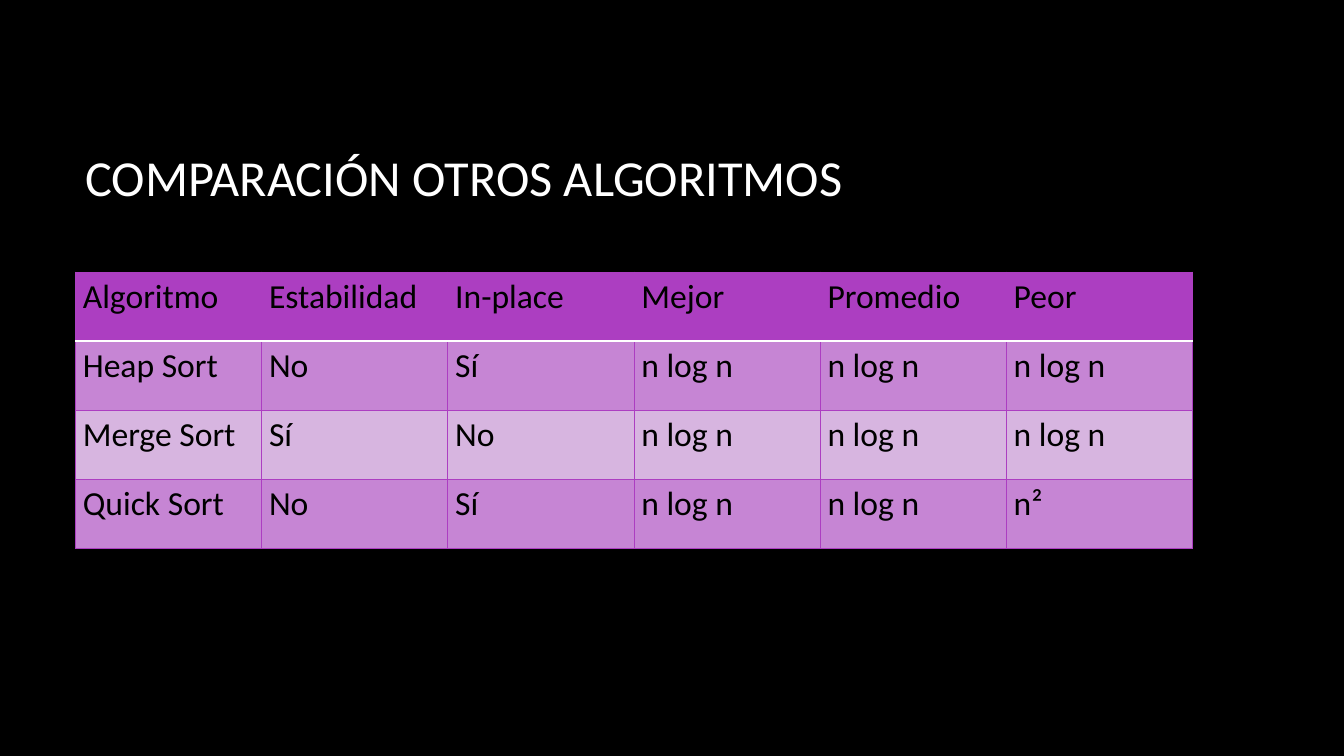
from dataclasses import dataclass

from lxml import etree
from pptx import Presentation
from pptx import util as u
from pptx.dml import color
from pptx.enum import text
from pptx.oxml import ns

HUES = {
    "back": "000000",
    "title": "FFFFFF",
    "ink": "000000",
    "rule": "FFFFFF",
    "head": "AC3EC1",
    "dark": "C685D4",
    "light": "D7B5E0",
}
LEFT, WIDE = 54, 798
ROW = 49.3


@dataclass
class Line:
    cells: tuple[str, ...]
    fill: str
    top: str = "head"
    base: str = "head"


LINES = [
    Line(("Algoritmo", "Estabilidad", "In-place", "Mejor", "Promedio", "Peor"),
         "head", base="rule"),
    Line(("Heap Sort", "No", "Sí", "n log n", "n log n", "n log n"),
         "dark", top="rule"),
    Line(("Merge Sort", "Sí", "No", "n log n", "n log n", "n log n"), "light"),
    Line(("Quick Sort", "No", "Sí", "n log n", "n log n", "n²"), "dark"),
]


def rgb(name: str) -> color.RGBColor:
    return color.RGBColor.from_string(HUES[name])


def write(frame, words: str, *, size: float, hue: str) -> None:
    run = frame.paragraphs[0].add_run()
    run.text = words
    run.font.name = "Calibri"
    run.font.size = u.Pt(size)
    run.font.bold = False
    run.font.color.rgb = rgb(hue)


def edge(cell, line: Line) -> None:
    props = cell._tc.get_or_add_tcPr()
    sides = {"lnL": "head", "lnR": "head", "lnT": line.top, "lnB": line.base}
    for spot, (side, hue) in enumerate(sides.items()):
        width = u.Pt(1.5 if hue == "rule" else 0.75)
        border = etree.Element(ns.qn(f"a:{side}"), w=str(width))
        fill = etree.SubElement(border, ns.qn("a:solidFill"))
        etree.SubElement(fill, ns.qn("a:srgbClr"), val=HUES[hue])
        props.insert(spot, border)


def add_title(slide) -> None:
    box = slide.shapes.add_textbox(u.Pt(LEFT), u.Pt(69), u.Pt(WIDE), u.Pt(114.5))
    frame = box.text_frame
    frame.word_wrap = True
    frame.vertical_anchor = text.MSO_ANCHOR.MIDDLE
    write(frame, "COMPARACIÓN OTROS ALGORITMOS", size=36, hue="title")


def add_grid(slide, lines: list[Line]) -> None:
    count = len(lines[0].cells)
    grid = slide.shapes.add_table(
        len(lines), count, u.Pt(LEFT), u.Pt(194.3),
        u.Pt(WIDE), u.Pt(ROW * len(lines))).table
    for col in grid.columns:
        col.width = u.Pt(WIDE / count)
    for row, line in zip(grid.rows, lines):
        row.height = u.Pt(ROW)
        for cell, words in zip(row.cells, line.cells):
            cell.margin_left = cell.margin_right = u.Pt(5.2)
            cell.margin_top = cell.margin_bottom = u.Pt(3.6)
            cell.fill.solid()
            cell.fill.fore_color.rgb = rgb(line.fill)
            edge(cell, line)
            write(cell.text_frame, words, size=24, hue="ink")


def main() -> None:
    deck = Presentation()
    deck.slide_width, deck.slide_height = u.Pt(960), u.Pt(540)
    slide = deck.slides.add_slide(deck.slide_layouts[6])
    slide.background.fill.solid()
    slide.background.fill.fore_color.rgb = rgb("back")
    add_title(slide)
    add_grid(slide, LINES)
    deck.save("out.pptx")


if __name__ == "__main__":
    main()
